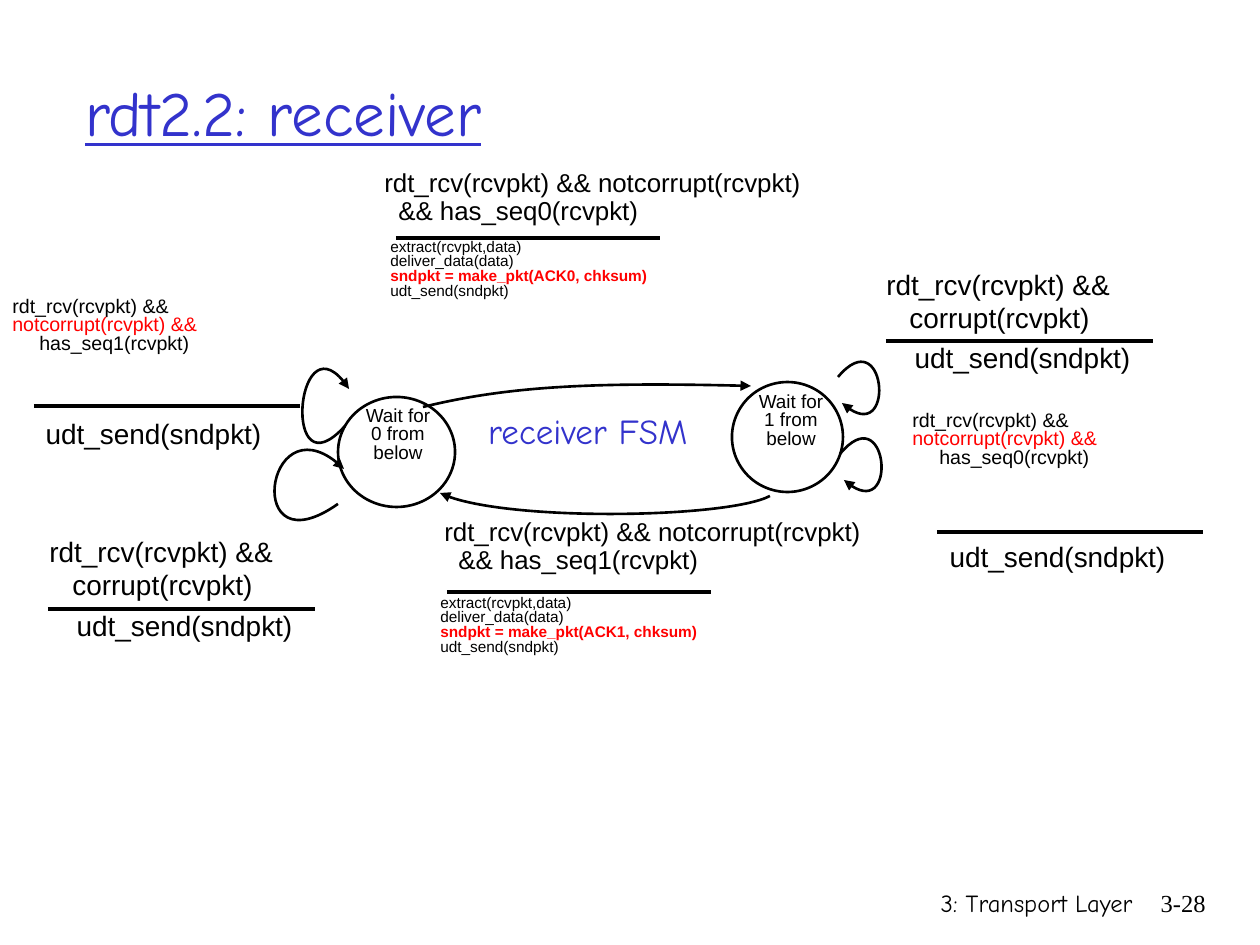
from dataclasses import dataclass

from lxml import etree
from pptx import Presentation
from pptx import util as u
from pptx.dml.color import RGBColor
from pptx.enum import shapes, text
from pptx.oxml.ns import qn

SCALE = 914400 / 126  # EMU per px


@dataclass(frozen=True)
class Theme:
    ink: str = "000000"
    accent: str = "3333CC"
    alert: str = "FF0000"
    paper: str = "FFFFFF"
    body_font: str = "Arial"
    display_font: str = "Comic Neue"
    number_font: str = "Times New Roman"
    title_size: float = 36
    caption_size: float = 20
    label_size: float = 16
    guard_size: float = 14.8
    footer_size: float = 14
    note_size: float = 11.2
    state_size: float = 10.8
    action_size: float = 8.8
    rule_width: float = 2.25
    outline_width: float = 1.5


THEME = Theme()


@dataclass(frozen=True)
class Line:
    text: str
    color: str = THEME.ink
    bold: bool = False
    indent: int = 0


@dataclass(frozen=True)
class Label:
    """Lines of text with the box size and format they are set in."""
    lines: tuple[Line, ...]
    width: int
    height: int
    size: float
    spacing: float = 1.0
    align: text.PP_ALIGN = text.PP_ALIGN.LEFT
    wrap: bool = True


@dataclass(frozen=True)
class Transition:
    """Event label above a rule, action label below it."""
    event: Label
    event_at: tuple[int, int]
    rule_at: tuple[int, int]
    rule_length: int
    action: Label
    action_at: tuple[int, int]


@dataclass(frozen=True)
class State:
    number: int
    circle: tuple[int, int, int, int]
    label_at: tuple[int, int]


def px(value: float) -> u.Emu:
    return u.Emu(round(value * SCALE))


def add_text(slide, box, lines, *, size, font=THEME.body_font, spacing=1.0,
             align=text.PP_ALIGN.LEFT, anchor=text.MSO_ANCHOR.TOP,
             underline=False, wrap=True):
    shape = slide.shapes.add_textbox(*map(px, box))
    frame = shape.text_frame
    frame.word_wrap = wrap
    frame.vertical_anchor = anchor
    if not wrap:
        frame.auto_size = text.MSO_AUTO_SIZE.SHAPE_TO_FIT_TEXT
    for index, line in enumerate(lines):
        paragraph = frame.add_paragraph() if index else frame.paragraphs[0]
        paragraph.alignment = align
        paragraph.line_spacing = spacing
        if line.indent:
            paragraph._p.get_or_add_pPr().set("marL", str(px(line.indent)))
        run = paragraph.add_run()
        run.text = line.text
        run.font.name = font
        run.font.size = u.Pt(size)
        run.font.bold = line.bold
        run.font.underline = underline
        run.font.color.rgb = RGBColor.from_string(line.color)


def add_label(slide, label: Label, at: tuple[int, int]) -> None:
    add_text(slide, (*at, label.width, label.height), label.lines, size=label.size,
             spacing=label.spacing, align=label.align, wrap=label.wrap)


def set_line(shape, width: float) -> None:
    shape.line.color.rgb = RGBColor.from_string(THEME.ink)
    shape.line.width = u.Pt(width)


def add_rule(slide, at: tuple[int, int], length: int) -> None:
    x, y = at
    rule = slide.shapes.add_connector(
        shapes.MSO_CONNECTOR.STRAIGHT, px(x), px(y), px(x + length), px(y))
    set_line(rule, THEME.rule_width)
    etree.SubElement(rule._element.spPr, qn("a:effectLst"))


def add_transition(slide, transition: Transition) -> None:
    add_label(slide, transition.event, transition.event_at)
    add_rule(slide, transition.rule_at, transition.rule_length)
    add_label(slide, transition.action, transition.action_at)


def add_state(slide, state: State) -> None:
    circle = slide.shapes.add_shape(shapes.MSO_SHAPE.OVAL, *map(px, state.circle))
    circle.shadow.inherit = False
    circle.fill.solid()
    circle.fill.fore_color.rgb = RGBColor.from_string(THEME.paper)
    set_line(circle, THEME.outline_width)
    lines = (Line("Wait for"), Line(f"{state.number} from below"))
    add_text(slide, (*state.label_at, 110, 84), lines, size=THEME.state_size,
             spacing=0.8, align=text.PP_ALIGN.CENTER)


def add_curved_arrow(slide, points) -> None:
    """Draw one Bezier curve (start, two controls, end) with its arrowhead at the end."""
    start, *others = points
    builder = slide.shapes.build_freeform(*start, scale=SCALE)
    builder.add_line_segments(others, close=False)
    curve = builder.convert_to_shape()
    curve.shadow.inherit = False
    curve.fill.background()
    set_line(curve, THEME.outline_width)
    # Turn the three straight segments into one cubic segment
    outline = next(curve._element.iter(qn("a:path")))
    cubic = etree.SubElement(outline, qn("a:cubicBezTo"))
    for segment in outline.findall(qn("a:lnTo")):
        cubic.append(segment[0])
        outline.remove(segment)
    etree.SubElement(curve.line._get_or_add_ln(), qn("a:tailEnd"), type="triangle")


# Labels shared by the transitions
def valid_event(sequence: int) -> Label:
    return Label((Line("rdt_rcv(rcvpkt) && notcorrupt(rcvpkt)"),
                  Line(f"&& has_seq{sequence}(rcvpkt)", indent=14)),
                 543, 78, THEME.guard_size, 0.9)


def deliver_action(sequence: int) -> Label:
    return Label((Line("extract(rcvpkt,data)"), Line("deliver_data(data)"),
                  Line(f"sndpkt = make_pkt(ACK{sequence}, chksum)", THEME.alert, True),
                  Line("udt_send(sndpkt)")), 576, 96, THEME.action_size, 0.8)


def duplicate_event(sequence: int) -> Label:
    return Label((Line("rdt_rcv(rcvpkt) &&"), Line("notcorrupt(rcvpkt) &&", THEME.alert),
                  Line(f"has_seq{sequence}(rcvpkt)", indent=27)),
                 335, 86, THEME.note_size, 0.8)


CORRUPT = Label((Line("rdt_rcv(rcvpkt) &&"), Line("corrupt(rcvpkt)", indent=23)),
                362, 84, THEME.label_size)
RESEND = Label((Line("udt_send(sndpkt)"),), 241, 47, THEME.label_size,
               align=text.PP_ALIGN.CENTER, wrap=False)

STATES = (State(0, (338, 397, 117, 110), (343, 402)),
          State(1, (732, 382, 111, 110), (736, 388)))

TRANSITIONS = (
    Transition(valid_event(0), (372, 164), (396, 238), 264, deliver_action(0), (378, 234)),
    Transition(valid_event(1), (432, 513), (447, 592), 264, deliver_action(1), (428, 590)),
    Transition(duplicate_event(1), (0, 292), (34, 406), 266, RESEND, (33, 410)),
    Transition(duplicate_event(0), (900, 406), (937, 532), 266, RESEND, (937, 533)),
    Transition(CORRUPT, (874, 261), (886, 341), 267, RESEND, (902, 334)),
    Transition(CORRUPT, (37, 528), (48, 609), 267, RESEND, (64, 602)),
)

ARROWS = (
    ((423, 407), (509, 386), (597, 382), (751, 386)),  # state 0 to 1
    ((770, 496), (728, 518), (498, 522), (440, 493)),  # state 1 to 0
    ((345, 426), (282, 496), (296, 309), (349, 389)),  # loops on state 0
    ((338, 504), (243, 571), (266, 393), (344, 469)),
    ((838, 377), (885, 321), (897, 452), (842, 403)),  # loops on state 1
    ((840, 454), (887, 397), (900, 529), (844, 480)),
)


def main() -> None:
    presentation = Presentation()
    presentation.slide_width, presentation.slide_height = px(1260), px(945)
    slide = presentation.slides.add_slide(presentation.slide_layouts[6])

    # Title and footer
    add_text(slide, (73, 32, 1071, 158), [Line("rdt2.2: receiver", THEME.accent)],
             size=THEME.title_size, font=THEME.display_font, underline=True,
             anchor=text.MSO_ANCHOR.MIDDLE)
    add_text(slide, (746, 882, 399, 63), [Line("3: Transport Layer")],
             size=THEME.footer_size, font=THEME.display_font, align=text.PP_ALIGN.RIGHT)
    add_text(slide, (1125, 882, 93, 63), [Line("3-28")],
             size=THEME.footer_size, font=THEME.number_font, align=text.PP_ALIGN.RIGHT)

    # State machine
    for state in STATES:
        add_state(slide, state)
    for points in ARROWS:
        add_curved_arrow(slide, points)
    for transition in TRANSITIONS:
        add_transition(slide, transition)
    add_text(slide, (475, 403, 226, 55), [Line("receiver FSM", THEME.accent)],
             size=THEME.caption_size, font=THEME.display_font,
             align=text.PP_ALIGN.CENTER, wrap=False)

    presentation.save("out.pptx")


if __name__ == "__main__":
    main()
